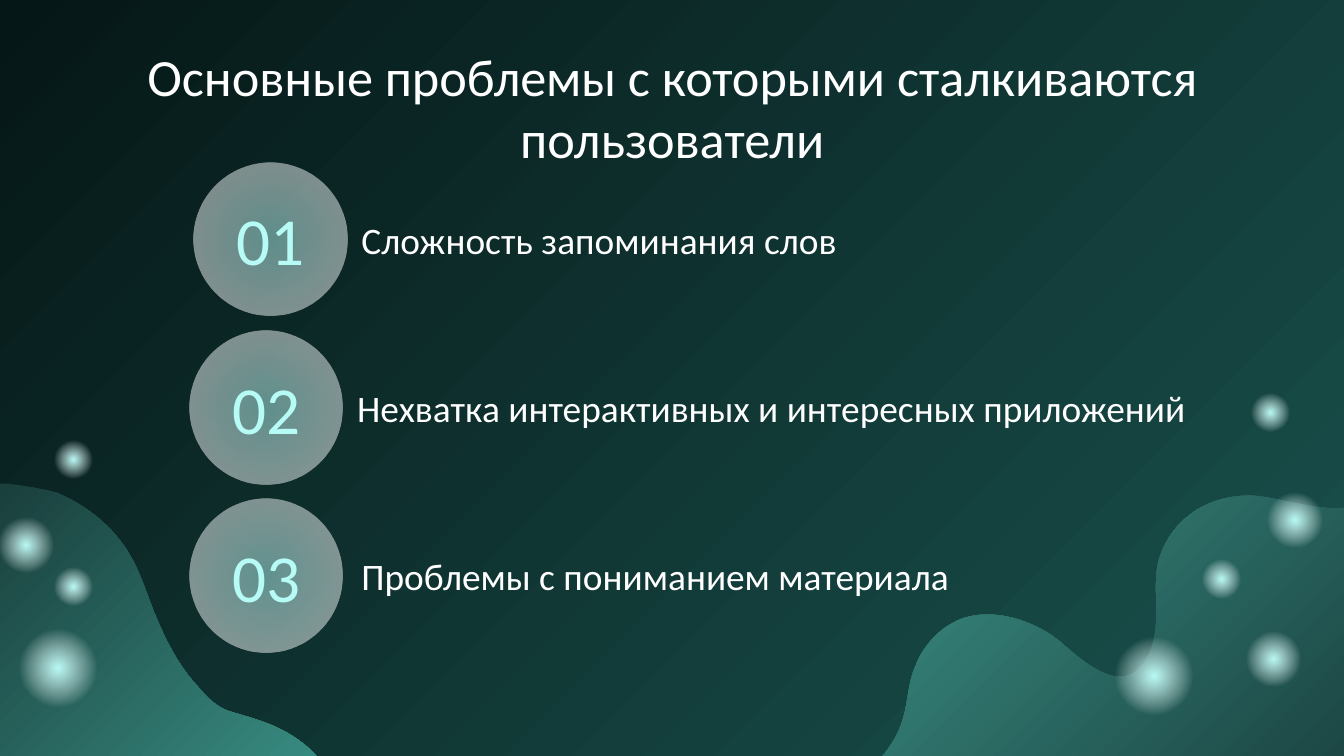
from dataclasses import dataclass

from lxml.etree import SubElement
from pptx import Presentation
from pptx.dml.color import RGBColor
from pptx.enum.shapes import MSO_SHAPE
from pptx.enum.text import MSO_ANCHOR, PP_ALIGN
from pptx.oxml.ns import qn
from pptx.util import Cm, Pt

WIDTH, HEIGHT = 25.4, 14.29
WHITE, MINT = "FFFFFF", "B7FBF6"
CIRCLE_SIZE, ROW_PITCH, FIRST_TOP = 2.9, 3.18, 3.07
NUMBER_HEIGHT = 1.83
CURVE_STEPS = 16


@dataclass
class Stop:
    position: int
    colour: str
    opacity: int = 100


@dataclass
class Glow:
    left: float
    top: float
    size: float


@dataclass
class Problem:
    number: str
    label: str
    circle_left: float
    label_left: float


@dataclass
class Wave:
    start: tuple
    curves: list
    corner: tuple
    stops: list
    angle: int


GLOW_STOPS = [Stop(0, MINT), Stop(57, WHITE, 0), Stop(100, WHITE, 0)]
CIRCLE_STOPS = [Stop(0, MINT, 49), Stop(77, WHITE, 49), Stop(100, WHITE, 49)]

WAVES = [
    Wave((25.4, 9.6), [
        ((25.08, 9.63), (24.74, 9.56), (24.43, 9.5)),
        ((24.16, 9.45), (23.88, 9.37), (23.6, 9.37)),
        ((22.86, 9.37), (22.25, 9.75), (21.97, 10.39)),
        ((21.67, 11.05), (22.07, 11.81), (21.64, 12.5)),
        ((21.18, 13.21), (20.42, 12.45), (19.99, 12.09)),
        ((19.46, 11.68), (18.59, 11.43), (17.98, 11.79)),
        ((17.68, 11.96), (17.42, 12.27), (17.3, 12.6)),
        ((17.15, 12.93), (17.17, 13.31), (17.04, 13.67)),
        ((16.97, 13.88), (16.84, 14.1), (16.68, HEIGHT)),
    ], (WIDTH, HEIGHT), [Stop(0, "1C4744"), Stop(100, "3A8C83")], 225),
    Wave((0, 9.14), [
        ((0.25, 9.14), (0.86, 9.25), (1.09, 9.32)),
        ((1.57, 9.53), (1.98, 9.83), (2.29, 10.24)),
        ((2.62, 10.67), (2.74, 11.15), (2.95, 11.66)),
        ((3.15, 12.14), (3.4, 12.62), (3.76, 13)),
        ((3.91, 13.18), (4.09, 13.36), (4.32, 13.44)),
        ((4.57, 13.52), (4.9, 13.6), (5.21, 13.74)),
        ((5.49, 13.87), (5.77, 14.05), (5.98, HEIGHT)),
    ], (0, HEIGHT), [Stop(0, "1A3F3C"), Stop(100, "378A80")], 45),
]

GLOWS = [
    Glow(0.18, 11.71, 1.83),
    Glow(-0.15, 9.65, 1.3),
    Glow(0.94, 8.23, 0.91),
    Glow(0.94, 10.64, 0.91),
    Glow(20.9, 11.86, 1.83),
    Glow(23.42, 11.81, 1.3),
    Glow(23.55, 7.34, 0.91),
    Glow(22.63, 10.49, 0.91),
    Glow(23.83, 9.19, 1.3),
]

PROBLEMS = [
    Problem("01", "Сложность запоминания слов", 3.66, 6.58),
    Problem("02", "Нехватка интерактивных и интересных приложений", 3.58, 6.5),
    Problem("03", "Проблемы с пониманием материала", 3.58, 6.58),
]


def colour(value: str) -> RGBColor:
    return RGBColor.from_string(value)


def paint_gradient(owner, fill, stops: list, angle: int | None = None) -> None:
    fill.gradient()
    gradient = owner.find(".//" + qn("a:gradFill"))
    for child in list(gradient):
        gradient.remove(child)
    stop_list = SubElement(gradient, qn("a:gsLst"))
    for stop in stops:
        entry = SubElement(stop_list, qn("a:gs"), pos=str(stop.position * 1000))
        tint = SubElement(entry, qn("a:srgbClr"), val=str(colour(stop.colour)))
        if stop.opacity < 100:
            SubElement(tint, qn("a:alpha"), val=str(stop.opacity * 1000))
    if angle is None:
        radial = SubElement(gradient, qn("a:path"), path="circle")
        SubElement(radial, qn("a:fillToRect"), l="50000", t="50000", r="50000", b="50000")
    else:
        SubElement(gradient, qn("a:lin"), ang=str(angle * 60000), scaled="0")


def finish_shape(shape, stops: list, angle: int | None = None) -> None:
    shape.shadow.inherit = False
    shape.line.fill.background()
    paint_gradient(shape.element, shape.fill, stops, angle)


def curve_points(start: tuple, curve: tuple) -> list:
    points = []
    for step in range(1, CURVE_STEPS + 1):
        t = step / CURVE_STEPS
        weights = ((1 - t) ** 3, 3 * t * (1 - t) ** 2, 3 * t * t * (1 - t), t ** 3)
        anchors = (start, *curve)
        x, y = (sum(w * a[axis] for w, a in zip(weights, anchors)) for axis in (0, 1))
        points.append((Cm(x), Cm(y)))
    return points


def draw_wave(page, wave: Wave) -> None:
    outline = page.shapes.build_freeform(Cm(wave.start[0]), Cm(wave.start[1]))
    start = wave.start
    for curve in wave.curves:
        outline.add_line_segments(curve_points(start, curve), close=False)
        start = curve[-1]
    outline.add_line_segments([(Cm(wave.corner[0]), Cm(wave.corner[1]))], close=True)
    finish_shape(outline.convert_to_shape(), wave.stops, wave.angle)


def draw_circle(page, left: float, top: float, size: float, stops: list) -> None:
    circle = page.shapes.add_shape(MSO_SHAPE.OVAL, Cm(left), Cm(top), Cm(size), Cm(size))
    finish_shape(circle, stops)


def draw_text(page, text: str, left: float, top: float, width: float, height: float,
              size: int, ink: str, align=PP_ALIGN.CENTER, anchor=MSO_ANCHOR.MIDDLE) -> None:
    box = page.shapes.add_textbox(Cm(left), Cm(top), Cm(width), Cm(height))
    frame = box.text_frame
    frame.word_wrap = True
    frame.vertical_anchor = anchor
    frame.margin_left = frame.margin_right = Cm(0.25)
    frame.margin_top = frame.margin_bottom = Cm(0.25)
    para = frame.paragraphs[0]
    para.alignment = align
    span = para.add_run()
    span.text = text
    span.font.name = "Calibri"
    span.font.size = Pt(size)
    span.font.color.rgb = colour(ink)


def draw_problem(page, problem: Problem, top: float) -> None:
    text_top = top + (CIRCLE_SIZE - NUMBER_HEIGHT) / 2
    draw_circle(page, problem.circle_left, top, CIRCLE_SIZE, CIRCLE_STOPS)
    draw_text(page, problem.number, problem.circle_left, text_top,
              CIRCLE_SIZE, NUMBER_HEIGHT, 36, MINT)
    draw_text(page, problem.label, problem.label_left, text_top,
              16.54, NUMBER_HEIGHT, 20, WHITE, PP_ALIGN.LEFT)


def main() -> None:
    deck = Presentation()
    deck.slide_width, deck.slide_height = Cm(WIDTH), Cm(HEIGHT)
    page = deck.slides.add_slide(deck.slide_layouts[6])
    paint_gradient(page.element, page.background.fill,
                   [Stop(0, "051716"), Stop(100, "1A524E")], 45)
    for wave in WAVES:
        draw_wave(page, wave)
    for glow in GLOWS:
        draw_circle(page, glow.left, glow.top, glow.size, GLOW_STOPS)
    draw_text(page, "Основные проблемы с которыми сталкиваются пользователи",
              1.68, 0.58, 22.05, 2.87, 28, WHITE, anchor=MSO_ANCHOR.TOP)
    for row, problem in enumerate(PROBLEMS):
        draw_problem(page, problem, FIRST_TOP + row * ROW_PITCH)
    deck.save("out.pptx")


if __name__ == "__main__":
    main()
